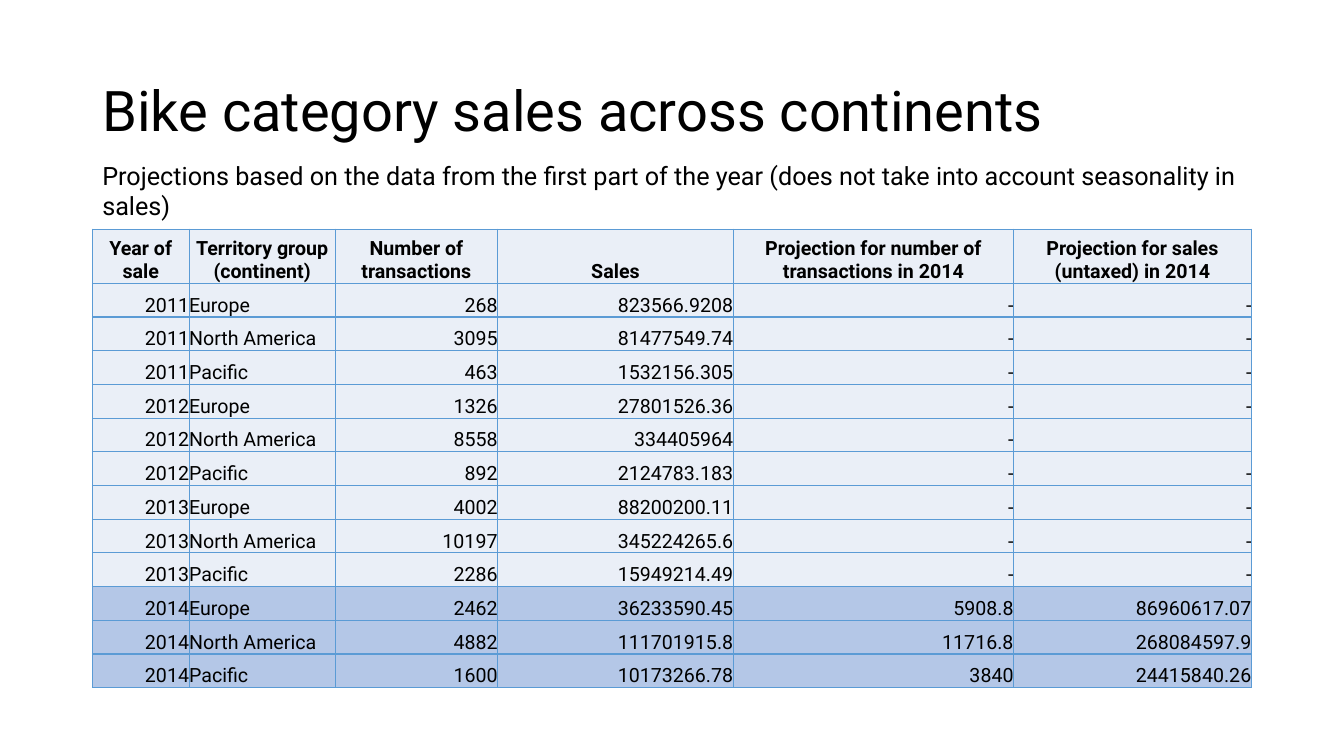
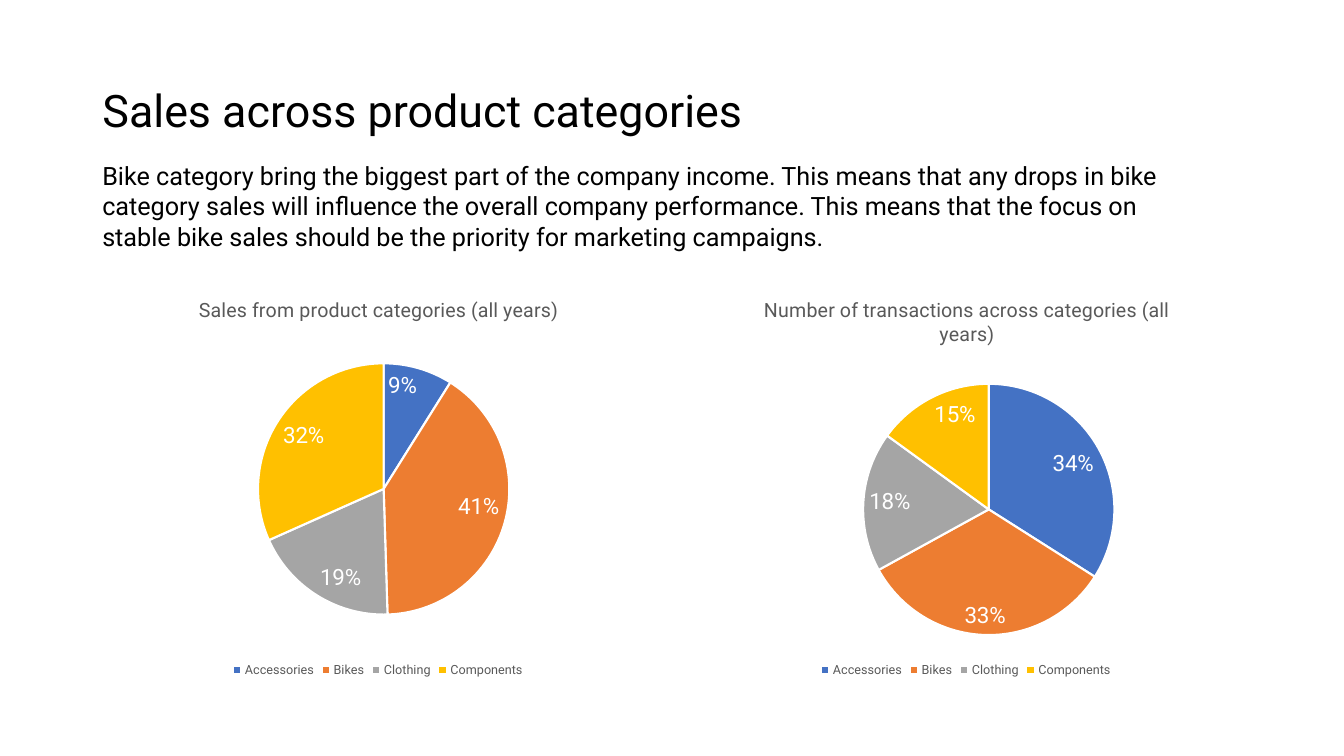
from dataclasses import dataclass

import pptx
import pptx.chart.data
import pptx.dml.color
import pptx.enum.chart
import pptx.enum.text
import pptx.oxml
import pptx.oxml.ns
import pptx.util

Pt = pptx.util.Pt
ALIGN = pptx.enum.text.PP_ALIGN
ANCHOR = pptx.enum.text.MSO_ANCHOR


@dataclass(frozen=True)
class Theme:
    """Colours and type sizes shared by the slides."""

    font: str = "Roboto"
    ink: str = "000000"
    muted: str = "595959"
    paper: str = "FFFFFF"
    grid: str = "5B9BD5"
    row: str = "EAEFF7"
    current_row: str = "B4C7E7"
    slices: tuple = ("4472C4", "ED7D31", "A5A5A5", "FFC000")
    title: int = 40
    small_title: int = 32
    body: int = 18
    cell: int = 14
    chart_title: int = 14
    chart_label: int = 16
    chart_text: int = 10
    legend: int = 9


@dataclass(frozen=True)
class Box:
    """A rectangle in points."""

    left: float
    top: float
    width: float
    height: float

    def lengths(self):
        """Return the four lengths as python-pptx expects them."""
        return Pt(self.left), Pt(self.top), Pt(self.width), Pt(self.height)

    def columns(self, count, gap):
        """Split the box into equal columns."""
        width = (self.width - gap * (count - 1)) / count
        return [Box(self.left + index * (width + gap), self.top, width, self.height)
                for index in range(count)]


THEME = Theme()
PAGE_WIDTH, PAGE_HEIGHT = 960, 540
MARGIN = 66
CONTENT_WIDTH = PAGE_WIDTH - 2 * MARGIN
TITLE_BOX = Box(MARGIN, 28.75, CONTENT_WIDTH, 104.4)
TABLE_BOX = Box(MARGIN, 163.8, CONTENT_WIDTH, 327.4)
CHARTS_BOX = Box(MARGIN, 194.4, CONTENT_WIDTH, 292.3)
INTRO_TOP = 111

HEADERS = ["Year of sale", "Territory group (continent)", "Number of transactions", "Sales",
           "Projection for number of transactions in 2014",
           "Projection for sales (untaxed) in 2014"]
COLUMN_WIDTHS = [69.1, 104.4, 116, 168.4, 200.2, 169.9]
HEADER_HEIGHT = 38.6
CURRENT_YEAR = "2014"
SALES_ROWS = [
    ("2011", "Europe", "268", "823566.9208", "-", "-"),
    ("2011", "North America", "3095", "81477549.74", "-", "-"),
    ("2011", "Pacific", "463", "1532156.305", "-", "-"),
    ("2012", "Europe", "1326", "27801526.36", "-", "-"),
    ("2012", "North America", "8558", "334405964", "-", ""),
    ("2012", "Pacific", "892", "2124783.183", "-", "-"),
    ("2013", "Europe", "4002", "88200200.11", "-", "-"),
    ("2013", "North America", "10197", "345224265.6", "-", "-"),
    ("2013", "Pacific", "2286", "15949214.49", "-", "-"),
    ("2014", "Europe", "2462", "36233590.45", "5908.8", "86960617.07"),
    ("2014", "North America", "4882", "111701915.8", "11716.8", "268084597.9"),
    ("2014", "Pacific", "1600", "10173266.78", "3840", "24415840.26"),
]

CATEGORIES = ["Accessories", "Bikes", "Clothing", "Components"]
PIE_SIZE = {"w": 0.44, "h": 0.62}
PIES = [
    ("Sales from product categories (all years)", (9, 41, 19, 32),
     {"x": 0.18, "y": 0.05}, {"x": 0.29, "y": 0.22}),
    ("Number of transactions across categories (all years)", (34, 33, 18, 15),
     {"x": 0.14, "y": 0.05}, {"x": 0.32, "y": 0.27}),
]


def rgb(value):
    """Turn a hex string into a colour."""
    return pptx.dml.color.RGBColor.from_string(value)


def style_font(font, size, color=THEME.ink, bold=False):
    """Apply the theme typeface with a size and colour."""
    font.name = THEME.font
    font.size = Pt(size)
    font.bold = bold
    font.color.rgb = rgb(color)


def add_page(deck, title, size):
    """Add a title-only slide with the shared title style."""
    page = deck.slides.add_slide(deck.slide_layouts[5])
    holder = page.shapes.title
    holder.left, holder.top, holder.width, holder.height = TITLE_BOX.lengths()
    frame = holder.text_frame
    frame.text = title
    frame.word_wrap = True
    frame.auto_size = pptx.enum.text.MSO_AUTO_SIZE.NONE
    frame.vertical_anchor = ANCHOR.MIDDLE
    para = frame.paragraphs[0]
    para.alignment = ALIGN.LEFT
    para.line_spacing = 0.9
    style_font(para.font, size)
    return page


def add_intro(page, text, box):
    """Add the paragraph under the title."""
    frame = page.shapes.add_textbox(*box.lengths()).text_frame
    frame.word_wrap = True
    frame.text = text
    style_font(frame.paragraphs[0].font, THEME.body)


def add_borders(cell):
    """Draw a thin line on all four sides of a cell."""
    properties = cell._tc.get_or_add_tcPr()
    for side in ("lnL", "lnR", "lnT", "lnB"):
        properties.append(pptx.oxml.parse_xml(
            f'<a:{side} {pptx.oxml.ns.nsdecls("a")} w="{int(Pt(1))}"><a:solidFill>'
            f'<a:srgbClr val="{THEME.grid}"/></a:solidFill></a:{side}>'))


def fill_cell(cell, text, fill, alignment, bold):
    """Write and format one table cell."""
    add_borders(cell)
    cell.fill.solid()
    cell.fill.fore_color.rgb = rgb(fill)
    cell.margin_left = cell.margin_right = cell.margin_top = cell.margin_bottom = 0
    cell.vertical_anchor = ANCHOR.BOTTOM
    cell.text = text
    para = cell.text_frame.paragraphs[0]
    para.alignment = alignment
    style_font(para.font, THEME.cell, bold=bold)


def add_sales_table(page, box):
    """Place the sales table in a box."""
    table = page.shapes.add_table(len(SALES_ROWS) + 1, len(HEADERS), *box.lengths()).table
    table.first_row = table.horz_banding = False
    for column, width in zip(table.columns, COLUMN_WIDTHS):
        column.width = Pt(box.width * width / sum(COLUMN_WIDTHS))
    row_height = (box.height - HEADER_HEIGHT) / len(SALES_ROWS)
    for number, values in enumerate([HEADERS, *SALES_ROWS]):
        is_header = number == 0
        table.rows[number].height = Pt(HEADER_HEIGHT if is_header else row_height)
        fill = THEME.current_row if values[0] == CURRENT_YEAR else THEME.row
        for index, text in enumerate(values):
            alignment = ALIGN.LEFT if index == 1 else ALIGN.RIGHT
            fill_cell(table.cell(number, index), text, fill,
                      ALIGN.CENTER if is_header else alignment, is_header)


def set_layout(element, position, values, target=""):
    """Fix the place of a chart part as fractions of the chart."""
    for old in element.findall(pptx.oxml.ns.qn("c:layout")):
        element.remove(old)
    modes = "".join(f'<c:{axis}Mode val="edge"/>' for axis in "xy")
    places = "".join(f'<c:{key} val="{value}"/>' for key, value in values.items())
    element.insert(position, pptx.oxml.parse_xml(
        f'<c:layout {pptx.oxml.ns.nsdecls("c")}><c:manualLayout>{target}{modes}{places}'
        '</c:manualLayout></c:layout>'))


def add_pie(page, box, title, values, title_place, pie_place):
    """Place a titled pie chart with percentages and a legend in a box."""
    data = pptx.chart.data.CategoryChartData()
    data.categories = CATEGORIES
    data.add_series("Series 1", values)
    chart = page.shapes.add_chart(
        pptx.enum.chart.XL_CHART_TYPE.PIE, *box.lengths(), data).chart
    style_font(chart.font, THEME.chart_text)

    chart.has_title = True
    frame = chart.chart_title.text_frame
    frame.text = title
    style_font(frame.paragraphs[0].font, THEME.chart_title, THEME.muted)
    set_layout(chart.chart_title._element, 1, title_place)

    chart.has_legend = True
    chart.legend.position = pptx.enum.chart.XL_LEGEND_POSITION.BOTTOM
    chart.legend.include_in_layout = False
    style_font(chart.legend.font, THEME.legend, THEME.muted)

    plot = chart.plots[0]
    plot.vary_by_categories = True
    set_layout(plot._element.getparent(), 0, pie_place | PIE_SIZE,
               '<c:layoutTarget val="inner"/>')
    for index, color in enumerate(THEME.slices):
        piece = plot.series[0].points[index].format
        piece.fill.solid()
        piece.fill.fore_color.rgb = rgb(color)
        piece.line.color.rgb = rgb(THEME.paper)
        piece.line.width = Pt(1.5)

    plot.has_data_labels = True
    labels = plot.data_labels
    labels.show_percentage = True
    labels.show_value = False
    labels.number_format = "0%"
    labels.number_format_is_linked = False
    labels.position = pptx.enum.chart.XL_LABEL_POSITION.INSIDE_END
    style_font(labels.font, THEME.chart_label, THEME.paper)


def add_continents_slide(deck):
    """Build the slide with the sales table."""
    page = add_page(deck, "Bike category sales across continents", THEME.title)
    add_sales_table(page, TABLE_BOX)
    add_intro(page, "Projections based on the data from the first part of the year "
              "(does not take into account seasonality in sales)",
              Box(MARGIN, INTRO_TOP, 868, 50))


def add_categories_slide(deck):
    """Build the slide with the two pie charts."""
    page = add_page(deck, "Sales across product categories", THEME.small_title)
    for box, pie in zip(CHARTS_BOX.columns(len(PIES), 12), PIES):
        add_pie(page, box, *pie)
    add_intro(page, "Bike category bring the biggest part of the company income. This means "
              "that any drops in bike category sales will influence the overall company "
              "performance. This means that the focus on stable bike sales should be the "
              "priority for marketing campaigns.",
              Box(MARGIN, INTRO_TOP, 778, 72.7))


def main():
    """Build and save the deck."""
    deck = pptx.Presentation()
    deck.slide_width, deck.slide_height = Pt(PAGE_WIDTH), Pt(PAGE_HEIGHT)
    add_continents_slide(deck)
    add_categories_slide(deck)
    deck.save("out.pptx")


if __name__ == "__main__":
    main()
